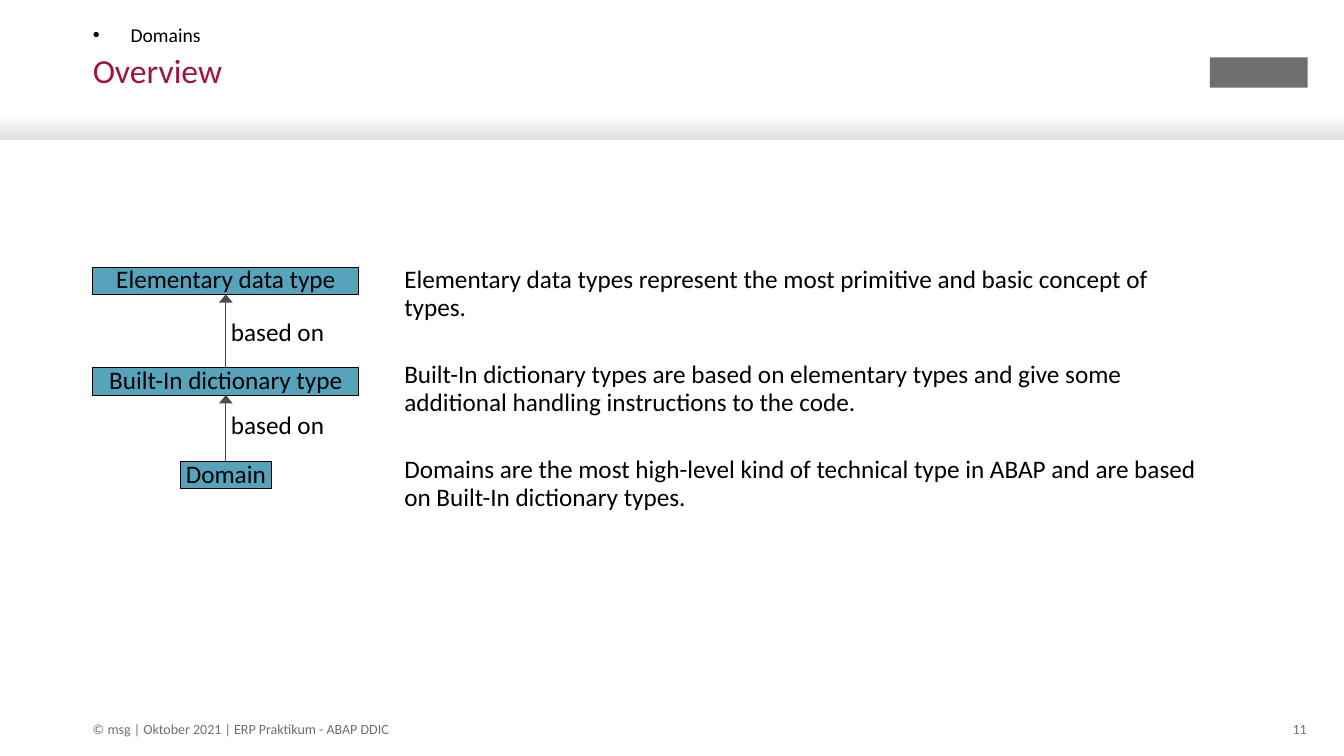
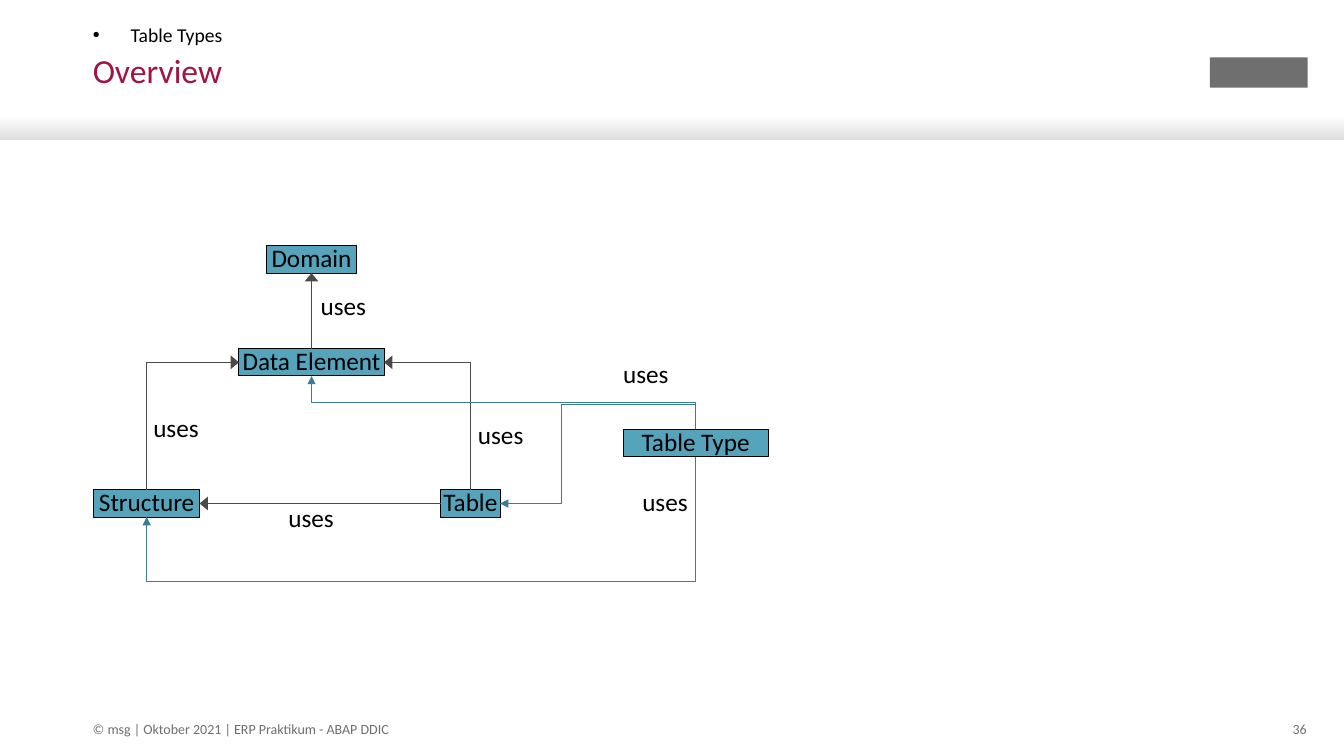
from lxml import etree
from pptx import Presentation, util as u
from pptx.dml.color import RGBColor
from pptx.enum import shapes, text
from pptx.oxml import ns

COLORS = {"accent": "A01441", "grey": "6F6F6F", "black": "000000", "box": "56A3BC",
          "arrow": "4A4A4A", "route": "3A7D93", "white": "FFFFFF", "band": "DEDEDE"}
color = {name: RGBColor.from_string(value) for name, value in COLORS.items()}
TOP, LEFT, BOTTOM, RIGHT = range(4)
MARGIN = 0.92
BOX_HEIGHT = 0.27

slides = [
    {
        "topic": "Domains",
        "number": "11",
        "boxes": {
            "Domain": (1.79, 4.58, 0.9),
            "Built-In dictionary type": (MARGIN, 3.65, 2.64),
            "Elementary data type": (MARGIN, 2.65, 2.64),
        },
        "arrows": [
            ("Built-In dictionary type", TOP, "Elementary data type", BOTTOM),
            ("Domain", TOP, "Built-In dictionary type", BOTTOM),
        ],
        "routes": [],
        "labels": [("based on", 2.29, 3.17), ("based on", 2.29, 4.09)],
        "explanation": [
            "Elementary data types represent the most primitive and basic concept of types.",
            "Built-In dictionary types are based on elementary types and give some additional "
            "handling instructions to the code.",
            "Domains are the most high-level kind of technical type in ABAP and are based on "
            "Built-In dictionary types.",
        ],
    },
    {
        "topic": "Table Types",
        "number": "36",
        "boxes": {
            "Domain": (2.64, 2.44, 0.9),
            "Data Element": (2.37, 3.46, 1.44),
            "Structure": (0.93, 4.86, 1.05),
            "Table": (4.37, 4.86, 0.59),
            "Table Type": (6.18, 4.26, 1.44),
        },
        "arrows": [
            ("Data Element", TOP, "Domain", BOTTOM),
            ("Table", LEFT, "Structure", RIGHT),
        ],
        "routes": [
            ("Structure", TOP, "Data Element", LEFT, "arrow", "bentConnector2", 90, []),
            ("Table", TOP, "Data Element", RIGHT, "arrow", "bentConnector2", 270, []),
            ("Table Type", TOP, "Table", RIGHT, "route", "bentConnector4", 270, [-33900, 68500]),
            ("Table Type", BOTTOM, "Structure", BOTTOM, "route", "bentConnector3", 90, [207000]),
            ("Table Type", TOP, "Data Element", BOTTOM, "route", "bentConnector3", 270, [50000]),
        ],
        "labels": [("uses", 3.18, 2.91), ("uses", 1.52, 4.12), ("uses", 2.86, 5.02),
                   ("uses", 4.74, 4.19), ("uses", 6.18, 3.59), ("uses", 6.37, 4.86)],
        "explanation": [],
    },
]


def write(holder, lines, size, ink, align="LEFT", anchor="TOP", gap=0):
    frame = holder.text_frame
    frame.word_wrap = True
    frame.auto_size = text.MSO_AUTO_SIZE.NONE
    frame.vertical_anchor = text.MSO_ANCHOR[anchor]
    frame.margin_left = frame.margin_top = frame.margin_right = frame.margin_bottom = 0
    frame.text = "\n".join(lines)
    for index, paragraph in enumerate(frame.paragraphs):
        paragraph.alignment = text.PP_ALIGN[align]
        paragraph.line_spacing = 0.9
        paragraph.space_before = u.Pt(gap if index else 0)
        paragraph.font.name = "Calibri"
        paragraph.font.size = u.Pt(size)
        paragraph.font.color.rgb = color[ink]


def connect(slide, kind, start, start_side, end, end_side, ink):
    link = slide.shapes.add_connector(kind, 0, 0, 0, 0)
    link.begin_connect(start, start_side)
    link.end_connect(end, end_side)
    link.line.color.rgb = color[ink]
    link.line.width = u.Pt(0.5)
    properties = link._element.spPr
    head_width = "lg" if ink == "arrow" else "med"
    etree.SubElement(properties.find(ns.qn("a:ln")), ns.qn("a:tailEnd"),
                     type="triangle", w=head_width, len="med")
    etree.SubElement(properties, ns.qn("a:effectLst"))
    return link


prs = Presentation()
prs.slide_width, prs.slide_height = u.Inches(13.33), u.Inches(7.5)

for content in slides:
    slide = prs.slides.add_slide(prs.slide_layouts[1])

    band = slide.shapes.add_shape(shapes.MSO_SHAPE.RECTANGLE, 0, u.Inches(1.15),
                                  prs.slide_width, u.Inches(0.24))
    band.shadow.inherit = False
    band.line.fill.background()
    band.fill.gradient()
    band.fill.gradient_angle = 270
    for stop, shade in zip(band.fill.gradient_stops, ("white", "band")):
        stop.color.rgb = color[shade]

    emblem = slide.shapes.add_shape(shapes.MSO_SHAPE.RECTANGLE, u.Inches(12), u.Inches(0.57),
                                    u.Inches(0.97), u.Inches(0.3))
    emblem.shadow.inherit = False
    emblem.line.fill.background()
    emblem.fill.solid()
    emblem.fill.fore_color.rgb = color["grey"]

    title, topic = slide.placeholders
    title.left, title.top, title.width, title.height = map(u.Inches, (MARGIN, 0.54, 10.63, 0.85))
    write(title, ["Overview"], 24, "accent")
    topic.left, topic.top, topic.width, topic.height = map(u.Inches, (MARGIN, 0.22, 8.18, 0.24))
    topic_format = topic.text_frame.paragraphs[0]._p.get_or_add_pPr()
    topic_format.set("marL", "0")
    topic_format.set("indent", "0")
    etree.SubElement(topic_format, ns.qn("a:buNone"))
    write(topic, [content["topic"]], 14, "black", anchor="BOTTOM")

    for words, left, width, align in (
            ("© msg | Oktober 2021 | ERP Praktikum - ABAP DDIC", MARGIN, 8, "LEFT"),
            (content["number"], 12.41, 0.55, "RIGHT")):
        footer = slide.shapes.add_textbox(u.Inches(left), u.Inches(7.14),
                                          u.Inches(width), u.Inches(0.21))
        write(footer, [words], 10, "grey", align, "MIDDLE")

    boxes = {}
    for name, (left, top, width) in content["boxes"].items():
        box = slide.shapes.add_shape(shapes.MSO_SHAPE.RECTANGLE, u.Inches(left), u.Inches(top),
                                     u.Inches(width), u.Inches(BOX_HEIGHT))
        box.shadow.inherit = False
        box.fill.solid()
        box.fill.fore_color.rgb = color["box"]
        box.line.color.rgb = color["black"]
        box.line.width = u.Pt(0.75)
        write(box, [name], 18, "black", "CENTER")
        boxes[name] = box

    for start, start_side, end, end_side in content["arrows"]:
        connect(slide, shapes.MSO_CONNECTOR.STRAIGHT, boxes[start], start_side,
                boxes[end], end_side, "arrow")

    for start, start_side, end, end_side, ink, bend, turn, adjustments in content["routes"]:
        route = connect(slide, shapes.MSO_CONNECTOR.ELBOW, boxes[start], start_side,
                        boxes[end], end_side, ink)
        across = route.end_x - route.begin_x
        down = route.end_y - route.begin_y
        center_x = (route.begin_x + route.end_x) // 2
        center_y = (route.begin_y + route.end_y) // 2
        route.width, route.height = abs(down), abs(across)
        route.left, route.top = center_x - abs(down) // 2, center_y - abs(across) // 2
        frame = route._element.spPr.find(ns.qn("a:xfrm"))
        frame.set("rot", str(turn * 60000))
        frame.set("flipH", str(int((down < 0) == (turn == 90))))
        frame.set("flipV", str(int((across > 0) == (turn == 90))))
        geometry = route._element.spPr.find(ns.qn("a:prstGeom"))
        geometry.set("prst", bend)
        for index, value in enumerate(adjustments, 1):
            etree.SubElement(geometry.find(ns.qn("a:avLst")), ns.qn("a:gd"),
                             name=f"adj{index}", fmla=f"val {value}")

    for words, left, top in content["labels"]:
        label = slide.shapes.add_textbox(u.Inches(left), u.Inches(top),
                                         u.Inches(0.95), u.Inches(BOX_HEIGHT))
        write(label, [words], 18, "black")

    if content["explanation"]:
        explanation = slide.shapes.add_textbox(u.Inches(4.01), u.Inches(2.65),
                                               u.Inches(7.89), u.Inches(2.46))
        write(explanation, content["explanation"], 18, "black", gap=29)

prs.save("out.pptx")
